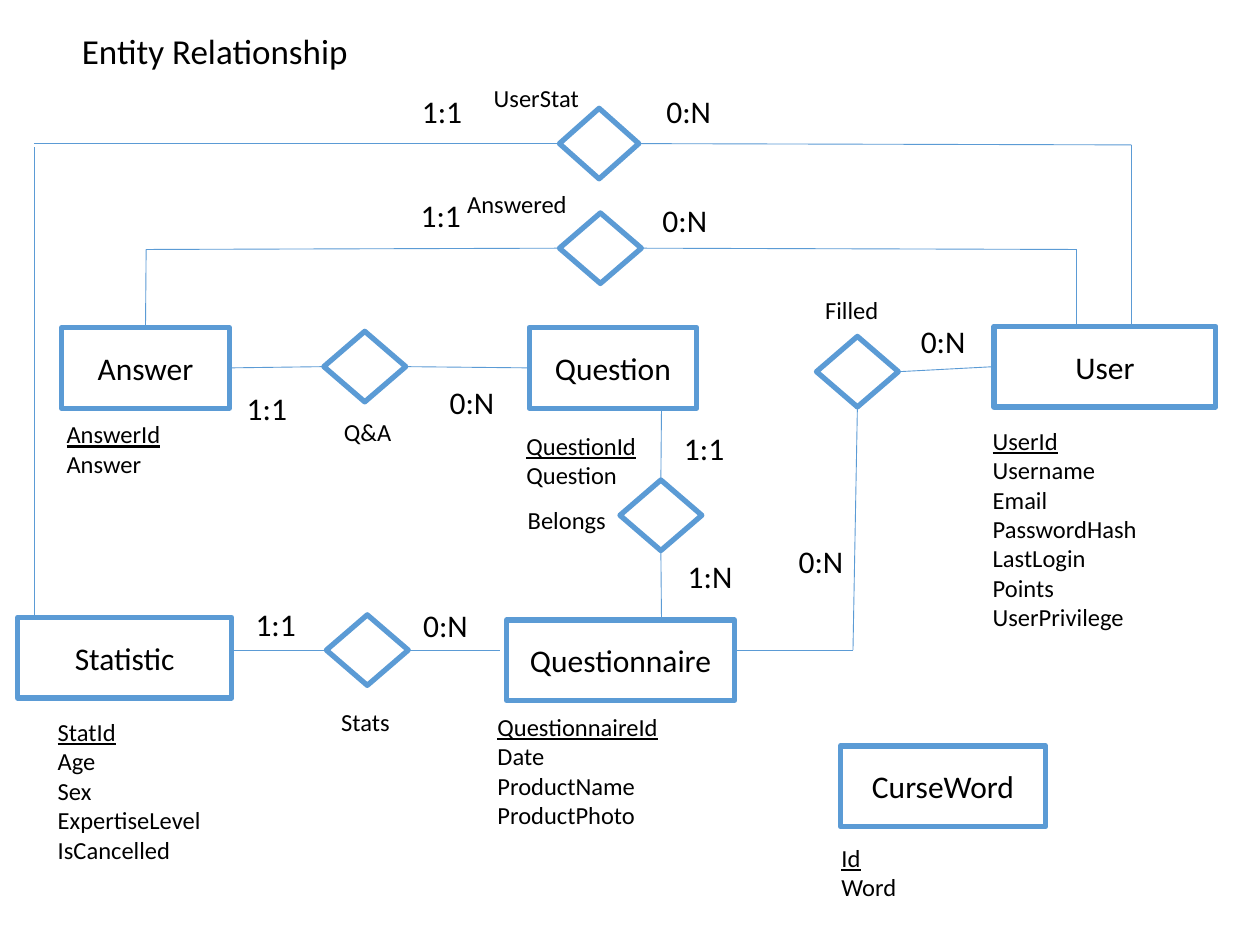
from typing import NamedTuple

from lxml import etree
from pptx import Presentation
from pptx.dml.color import RGBColor
from pptx.enum.shapes import MSO_CONNECTOR, MSO_SHAPE
from pptx.enum.text import MSO_ANCHOR, MSO_AUTO_SIZE, PP_ALIGN
from pptx.oxml.ns import qn
from pptx.util import Inches, Pt

RECTANGLE = MSO_SHAPE.RECTANGLE
DIAMOND = MSO_SHAPE.DIAMOND
STRAIGHT = MSO_CONNECTOR.STRAIGHT
FIT_TEXT = MSO_AUTO_SIZE.SHAPE_TO_FIT_TEXT
MIDDLE = MSO_ANCHOR.MIDDLE
LEFT_ALIGNED = PP_ALIGN.LEFT
CENTERED = PP_ALIGN.CENTER
TOP, LEFT, BOTTOM, RIGHT = range(4)

FONT = "Calibri"
BLACK, WHITE, BLUE = "000000", "FFFFFF", "5B9BD5"
ENTITY_HEIGHT = 0.64
RELATION_HEIGHT = 0.56


class Entity(NamedTuple):
    name: str
    left: float
    top: float
    width: float


class Relation(NamedTuple):
    name: str
    left: float
    top: float
    width: float = 0.65


class Attributes(NamedTuple):
    left: float
    top: float
    width: float
    height: float
    names: list[str]


class Label(NamedTuple):
    text: str
    left: float
    top: float
    width: float
    height: float = 0.4
    size: int = 18


class Joint(NamedTuple):
    shape: str
    side: int


class Point(NamedTuple):
    left: float
    top: float


class Link(NamedTuple):
    start: Joint | Point
    end: Joint | Point


ENTITIES = [
    Entity("Answer", 0.49, 2.6, 1.33),
    Entity("Question", 4.2, 2.6, 1.33),
    Entity("User", 7.89, 2.59, 1.76),
    Entity("Statistic", 0.14, 4.9, 1.7),
    Entity("Questionnaire", 4.02, 4.92, 1.81),
    Entity("CurseWord", 6.67, 5.92, 1.63),
]

RELATIONS = [
    Relation("UserStat", 4.44, 0.86, 0.63),
    Relation("Answered", 4.44, 1.69),
    Relation("Q&A", 2.57, 2.63),
    Relation("Filled", 6.48, 2.67),
    Relation("Belongs", 4.92, 3.81),
    Relation("Stats", 2.59, 4.88),
]

ATTRIBUTES = [
    Attributes(0.43, 3.28, 1.74, 0.81, ["AnswerId", "Answer"]),
    Attributes(4.08, 3.37, 1.94, 0.57, ["QuestionId", "Question"]),
    Attributes(7.78, 3.33, 1.41, 1.75, ["UserId", "Username", "Email", "PasswordHash",
                                        "LastLogin", "Points", "UserPrivilege"]),
    Attributes(0.36, 5.64, 1.74, 1.51, ["StatId", "Age", "Sex", "ExpertiseLevel", "IsCancelled"]),
    Attributes(3.85, 5.6, 1.94, 1.04, ["QuestionnaireId", "Date", "ProductName", "ProductPhoto"]),
    Attributes(6.58, 6.64, 1.1, 0.57, ["Id", "Word"]),
]

RELATION_LABELS = [
    Label("UserStat", 3.82, 0.61, 0.88, 0.34, 14),
    Label("Answered", 3.61, 1.45, 1, 0.34, 14),
    Label("Q&A", 2.63, 3.26, 0.58, 0.34, 14),
    Label("Filled", 6.45, 2.29, 0.63, 0.34, 14),
    Label("Belongs", 4.09, 3.96, 0.83, 0.34, 14),
    Label("Stats", 2.61, 5.56, 0.59, 0.34, 14),
]

CARDINALITIES = [
    Label("1:1", 3.25, 0.68, 0.53),
    Label("0:N", 5.19, 0.68, 0.56),
    Label("1:1", 3.24, 1.51, 0.53),
    Label("0:N", 5.16, 1.55, 0.56),
    Label("1:1", 1.86, 3.04, 0.53),
    Label("0:N", 3.47, 2.99, 0.56),
    Label("0:N", 7.21, 2.51, 0.56),
    Label("0:N", 6.24, 4.25, 0.56),
    Label("1:1", 5.33, 3.36, 0.53),
    Label("1:N", 5.36, 4.37, 0.56),
    Label("1:1", 1.93, 4.75, 0.53),
    Label("0:N", 3.26, 4.76, 0.56),
]

LINKS = [
    Link(Point(0.27, 1.14), Joint("UserStat", LEFT)),
    Link(Point(0.27, 4.88), Point(0.27, 1.17)),
    Link(Joint("UserStat", RIGHT), Point(8.98, 1.15)),
    Link(Point(8.98, 2.59), Point(8.98, 1.15)),
    Link(Point(1.16, 1.98), Joint("Answered", LEFT)),
    Link(Joint("Answer", TOP), Point(1.16, 1.98)),
    Link(Joint("Answered", RIGHT), Point(8.54, 1.98)),
    Link(Point(8.54, 2.59), Point(8.54, 1.98)),
    Link(Joint("Answer", RIGHT), Joint("Q&A", LEFT)),
    Link(Joint("Q&A", RIGHT), Joint("Question", LEFT)),
    Link(Joint("Filled", RIGHT), Joint("User", LEFT)),
    Link(Joint("Filled", BOTTOM), Point(6.77, 5.16)),
    Link(Point(5.83, 5.16), Point(6.77, 5.16)),
    Link(Joint("Belongs", TOP), Point(5.25, 3.24)),
    Link(Joint("Belongs", BOTTOM), Point(5.25, 4.92)),
    Link(Point(1.84, 5.16), Joint("Stats", LEFT)),
    Link(Joint("Stats", RIGHT), Point(3.97, 5.16)),
]


def color(value: str) -> RGBColor:
    return RGBColor.from_string(value)


def format_text(frame, size: int, alignment=LEFT_ALIGNED) -> None:
    for para in frame.paragraphs:
        para.alignment = alignment
        for span in para.runs:
            span.font.name = FONT
            span.font.size = Pt(size)
            span.font.color.rgb = color(BLACK)


def draw_title(page, text: str) -> None:
    title = page.shapes.title
    title.left, title.top = Inches(0.55), Inches(0.07)
    title.width, title.height = Inches(3.73), Inches(0.71)
    frame = title.text_frame
    frame.text = text
    frame.vertical_anchor = MIDDLE
    frame.paragraphs[0].line_spacing = 0.9
    format_text(frame, 20)


def draw_node(page, kind, node: Entity | Relation, height: float):
    shape = page.shapes.add_shape(
        kind, Inches(node.left), Inches(node.top), Inches(node.width), Inches(height))
    shape.shadow.inherit = False
    shape.fill.solid()
    shape.fill.fore_color.rgb = color(WHITE)
    shape.line.color.rgb = color(BLUE)
    shape.line.width = Pt(3)
    return shape


def draw_entity(page, entity: Entity):
    shape = draw_node(page, RECTANGLE, entity, ENTITY_HEIGHT)
    shape.text_frame.text = entity.name
    shape.text_frame.vertical_anchor = MIDDLE
    format_text(shape.text_frame, 18, CENTERED)
    return shape


def draw_text(page, item: Label | Attributes, text: str, size: int, wrap: bool):
    box = page.shapes.add_textbox(
        Inches(item.left), Inches(item.top), Inches(item.width), Inches(item.height))
    frame = box.text_frame
    frame.text = text
    frame.word_wrap = wrap
    frame.auto_size = FIT_TEXT
    format_text(frame, size)
    return frame


def draw_attributes(page, attributes: Attributes) -> None:
    frame = draw_text(page, attributes, "\n".join(attributes.names), 14, True)
    frame.paragraphs[0].runs[0].font.underline = True


def draw_link(page, link: Link, nodes: dict) -> None:
    ends = [end if isinstance(end, Point) else Point(0, 0) for end in link]
    connector = page.shapes.add_connector(
        STRAIGHT, *(Inches(length) for end in ends for length in end))
    for end, connect in zip(link, (connector.begin_connect, connector.end_connect)):
        if isinstance(end, Joint):
            connect(nodes[end.shape], end.side)
    connector.line.color.rgb = color(BLUE)
    connector.line.width = Pt(0.5)
    etree.SubElement(connector._element.spPr, qn("a:effectLst"))


def main() -> None:
    deck = Presentation()
    deck.slide_width, deck.slide_height = Inches(10), Inches(7.5)
    page = deck.slides.add_slide(deck.slide_layouts[5])
    draw_title(page, "Entity Relationship")
    nodes = {entity.name: draw_entity(page, entity) for entity in ENTITIES}
    for relation in RELATIONS:
        nodes[relation.name] = draw_node(page, DIAMOND, relation, RELATION_HEIGHT)
    for link in LINKS:
        draw_link(page, link, nodes)
    for attributes in ATTRIBUTES:
        draw_attributes(page, attributes)
    for label in RELATION_LABELS + CARDINALITIES:
        draw_text(page, label, label.text, label.size, False)
    deck.save("out.pptx")


if __name__ == "__main__":
    main()
